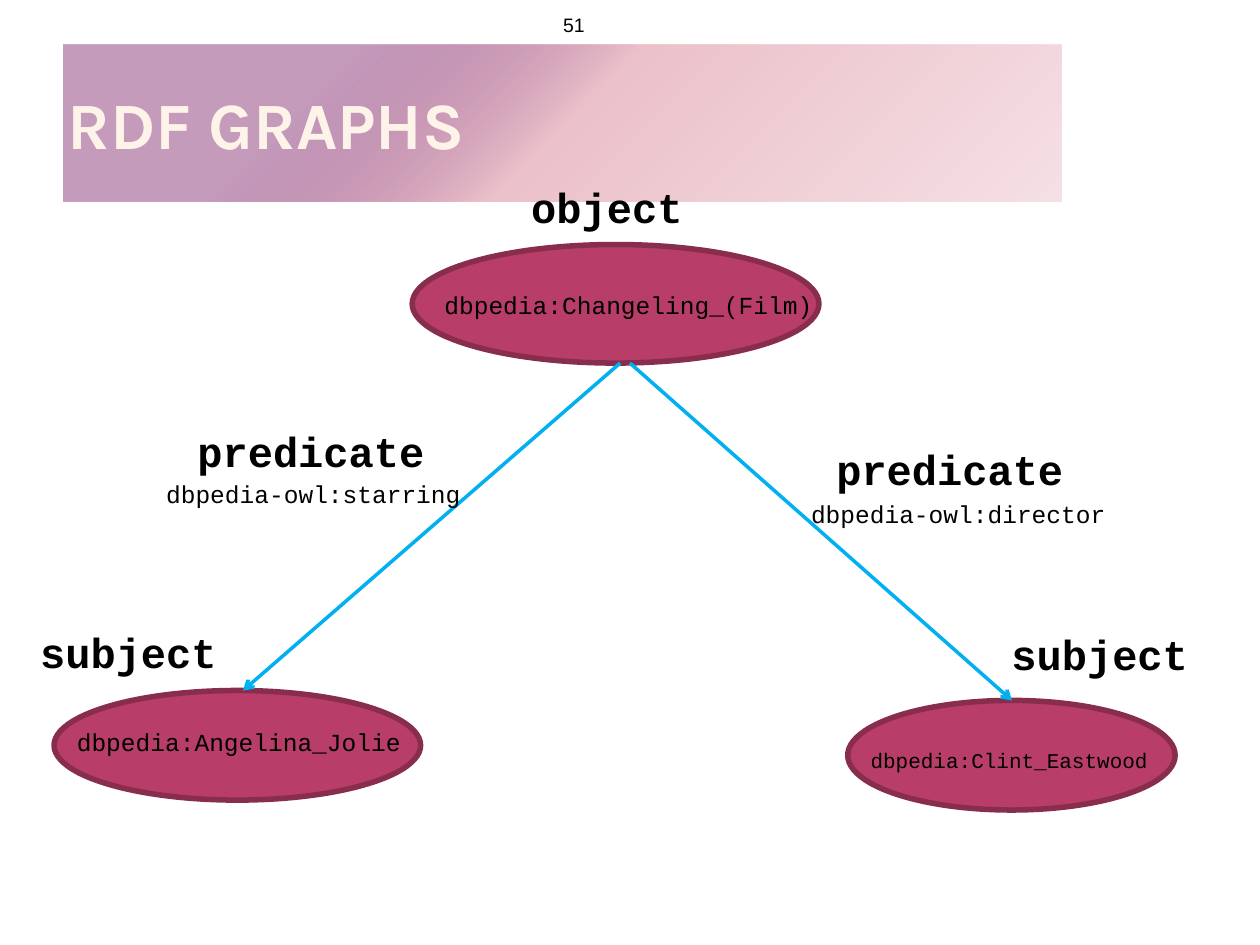
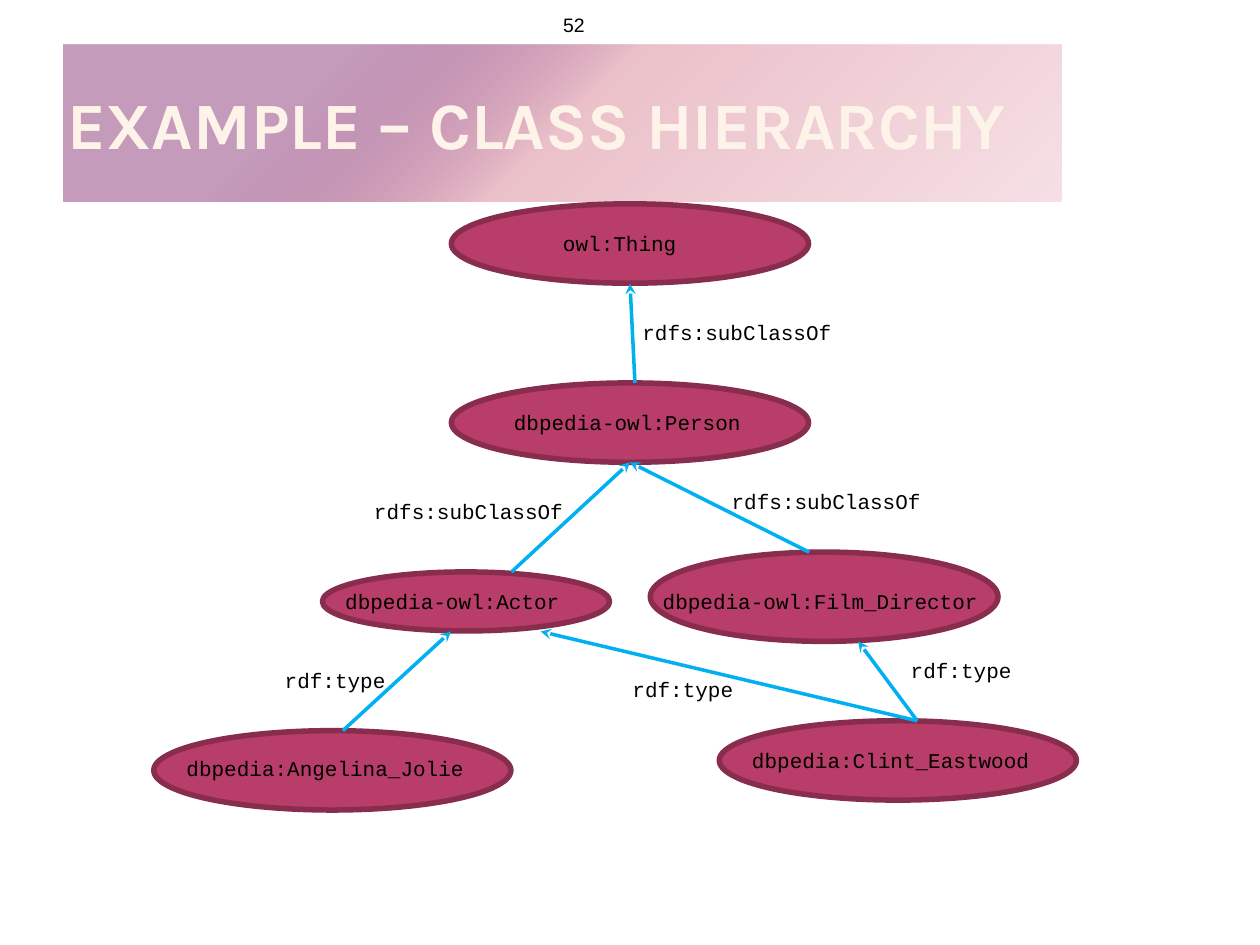
from pptx import Presentation
from pptx.dml.color import RGBColor
from pptx.enum.shapes import MSO_CONNECTOR as Link, MSO_SHAPE as Shape
from pptx.enum.text import MSO_ANCHOR as Anchor, MSO_AUTO_SIZE as AutoSize, PP_ALIGN as Align
from pptx.oxml import parse_xml
from pptx.oxml.ns import nsdecls, qn
from pptx.util import Cm, Pt
from lxml import etree

CODE_FONT = "Courier New"
BLACK, CREAM = "000000", "FEF3E8"
NODE_FILL, NODE_LINE, ARROW = "B83D68", "882D4D", "00B0F0"
# Title band: position in percent, colour, opacity in percent
BAND_STOPS = [(26, "852F73", 48), (50, "EBC0C9", 100), (100, "F5E0E5", 100)]
BAND_ANGLE = 45


def color(code):
    return RGBColor.from_string(code)


class GraphDeck:
    """Holds the shared style and the slide being drawn."""

    def __init__(self):
        self.deck = Presentation()
        self.deck.slide_width, self.deck.slide_height = Cm(25.4), Cm(19.05)
        self.page = None

    def add_page(self, title, number):
        self.page = self.deck.slides.add_slide(self.deck.slide_layouts[5])
        self.title(title)
        self.page_number(number)

    def add_text(self, box, text, size, font=CODE_FONT, fill=BLACK, bold=False, align=Align.LEFT):
        para = box.text_frame.paragraphs[0]
        para.alignment = align
        span = para.add_run()
        span.text = text
        span.font.name, span.font.size, span.font.bold = font, Pt(size), bold
        span.font.color.rgb = color(fill)

    def set_frame(self, box, anchor, side=0):
        frame = box.text_frame
        frame.word_wrap, frame.auto_size = True, AutoSize.NONE
        frame.vertical_anchor = anchor
        frame.margin_left = frame.margin_right = Cm(side)
        frame.margin_top = frame.margin_bottom = 0

    def title(self, text):
        band = self.page.shapes.title
        band.left, band.top, band.width, band.height = Cm(1.27), Cm(0.89), Cm(20.12), Cm(3.18)
        stops = "".join(
            f'<a:gs pos="{place * 1000}"><a:srgbClr val="{code}">'
            f'<a:alpha val="{opacity * 1000}"/></a:srgbClr></a:gs>'
            for place, code, opacity in BAND_STOPS)
        band.element.spPr.append(parse_xml(
            f'<a:gradFill {nsdecls("a")} rotWithShape="1"><a:gsLst>{stops}</a:gsLst>'
            f'<a:lin ang="{BAND_ANGLE * 60000}" scaled="0"/></a:gradFill>'))
        self.set_frame(band, Anchor.MIDDLE, 0.1)
        self.add_text(band, text, 37.8, "Karla", CREAM, bold=True)

    def page_number(self, number):
        box = self.page.shapes.add_textbox(Cm(10.16), Cm(0.1), Cm(1.63), Cm(0.64))
        self.set_frame(box, Anchor.BOTTOM)
        self.add_text(box, str(number), 11.1, "Arial", align=Align.RIGHT)

    def node(self, left, top, width, height):
        oval = self.page.shapes.add_shape(Shape.OVAL, Cm(left), Cm(top), Cm(width), Cm(height))
        oval.shadow.inherit = False
        oval.fill.solid()
        oval.fill.fore_color.rgb = color(NODE_FILL)
        oval.line.color.rgb = color(NODE_LINE)
        oval.line.width = Pt(3.15)

    def arrow(self, x1, y1, x2, y2, head):
        line = self.page.shapes.add_connector(Link.STRAIGHT, Cm(x1), Cm(y1), Cm(x2), Cm(y2))
        line.line.color.rgb = color(ARROW)
        line.line.width = Pt(2)
        properties = line.element.spPr
        etree.SubElement(properties.find(qn("a:ln")), qn("a:tailEnd"), type=head)
        etree.SubElement(properties, qn("a:effectLst"))

    def label(self, text, left, top, width, size=12):
        height = 0.86 if size == 14 else 0.76
        box = self.page.shapes.add_textbox(Cm(left), Cm(top), Cm(width), Cm(height))
        box.text_frame.word_wrap = True
        box.text_frame.auto_size = AutoSize.SHAPE_TO_FIT_TEXT
        self.add_text(box, text, size)

    def role(self, text, left, top):
        width = 5.13 if text == "predicate" else 4.09
        box = self.page.shapes.add_textbox(Cm(left), Cm(top), Cm(width), Cm(1.27))
        box.text_frame.word_wrap = False
        box.text_frame.auto_size = AutoSize.SHAPE_TO_FIT_TEXT
        self.add_text(box, text, 24, bold=True)


def draw_rdf_graph(graph):
    graph.add_page("RDF GRAPHS", 51)
    # Resources
    for place in [(8.31, 4.93, 8.2, 2.39), (1.09, 13.92, 7.39, 2.21), (17.09, 14.12, 6.6, 2.21)]:
        graph.node(*place)
    # Arrows from the film to its people
    for ends in [(12.5, 7.32, 4.9, 13.92), (12.7, 7.32, 20.4, 14.12)]:
        graph.arrow(*ends, "arrow")
    # Names of resources and properties
    for text, left, top, width, size in [
        ("dbpedia:Changeling_(Film)", 8.71, 5.72, 8.2, 14),
        ("dbpedia:Angelina_Jolie", 1.3, 14.53, 7.19, 14),
        ("dbpedia:Clint_Eastwood", 17.3, 14.94, 6.6, 12),
        ("dbpedia-owl:starring", 3.1, 9.53, 6.81, 14),
        ("dbpedia-owl:director", 16.1, 9.93, 6.6, 14),
    ]:
        graph.label(text, left, top, width, size)
    # Parts of the triples
    for text, left, top in [
        ("subject", 0.56, 12.5), ("predicate", 3.73, 8.46), ("object", 10.46, 3.53),
        ("predicate", 16.61, 8.81), ("subject", 20.14, 12.55),
    ]:
        graph.role(text, left, top)


def draw_class_hierarchy(graph):
    graph.add_page("EXAMPLE – CLASS HIERARCHY", 52)
    # Classes and instances: the common size is 7.2 by 1.6
    for left, top in [(9.1, 4.11), (9.1, 7.72), (3.1, 14.73), (14.5, 14.53)]:
        graph.node(left, top, 7.2, 1.6)
    graph.node(6.5, 11.53, 5.79, 1.19)
    graph.node(13.11, 11.13, 7.01, 1.8)
    for text, left, top, width in [
        ("owl:Thing", 11.1, 4.52, 3.2),
        ("dbpedia-owl:Person", 10.11, 8.13, 5.59),
        ("dbpedia-owl:Actor", 6.71, 11.73, 5.21),
        ("dbpedia-owl:Film_Director", 13.11, 11.73, 7.21),
        ("dbpedia:Angelina_Jolie", 3.51, 15.11, 7.01),
        ("dbpedia:Clint_Eastwood", 14.91, 14.94, 6.4),
    ]:
        graph.label(text, left, top, width)
    # Relations: arrow from child to parent, then the place of its label
    relations = {
        ("rdfs:subClassOf", 4.6): [
            ((12.8, 7.72, 12.7, 5.72), (12.7, 6.32)),
            ((10.31, 11.53, 12.7, 9.32), (7.29, 9.93)),
            ((16.31, 11.13, 12.7, 9.32), (14.5, 9.73)),
        ],
        ("rdf:type", 2.79): [
            ((6.91, 14.73, 9.09, 12.73), (5.49, 13.34)),
            ((18.49, 14.53, 10.9, 12.73), (12.5, 13.51)),
            ((18.49, 14.53, 17.3, 12.93), (18.11, 13.13)),
        ],
    }
    for (text, width), links in relations.items():
        for ends, corner in links:
            graph.arrow(*ends, "stealth")
            graph.label(text, *corner, width)


def main():
    graph = GraphDeck()
    draw_rdf_graph(graph)
    draw_class_hierarchy(graph)
    graph.deck.save("out.pptx")


if __name__ == "__main__":
    main()
